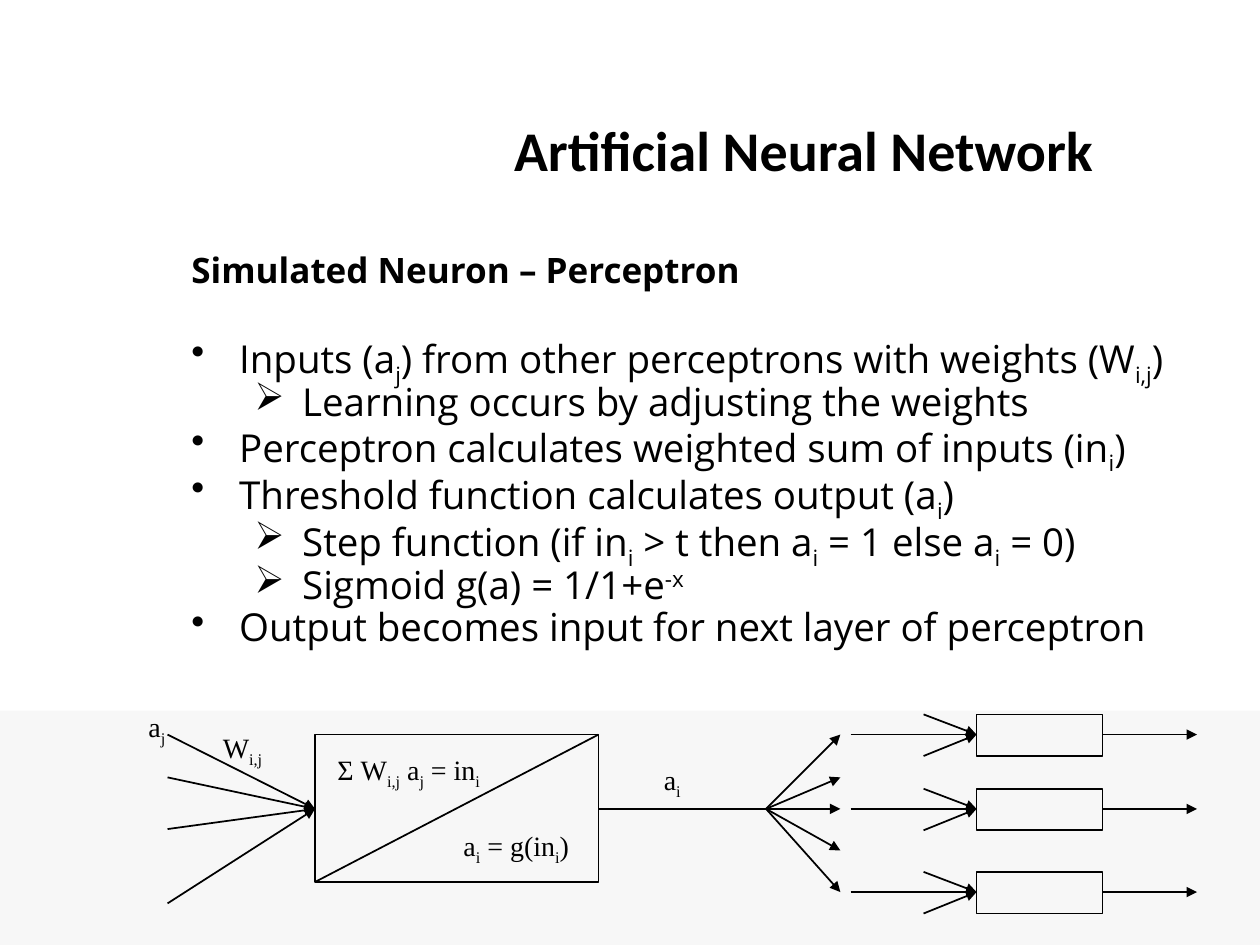
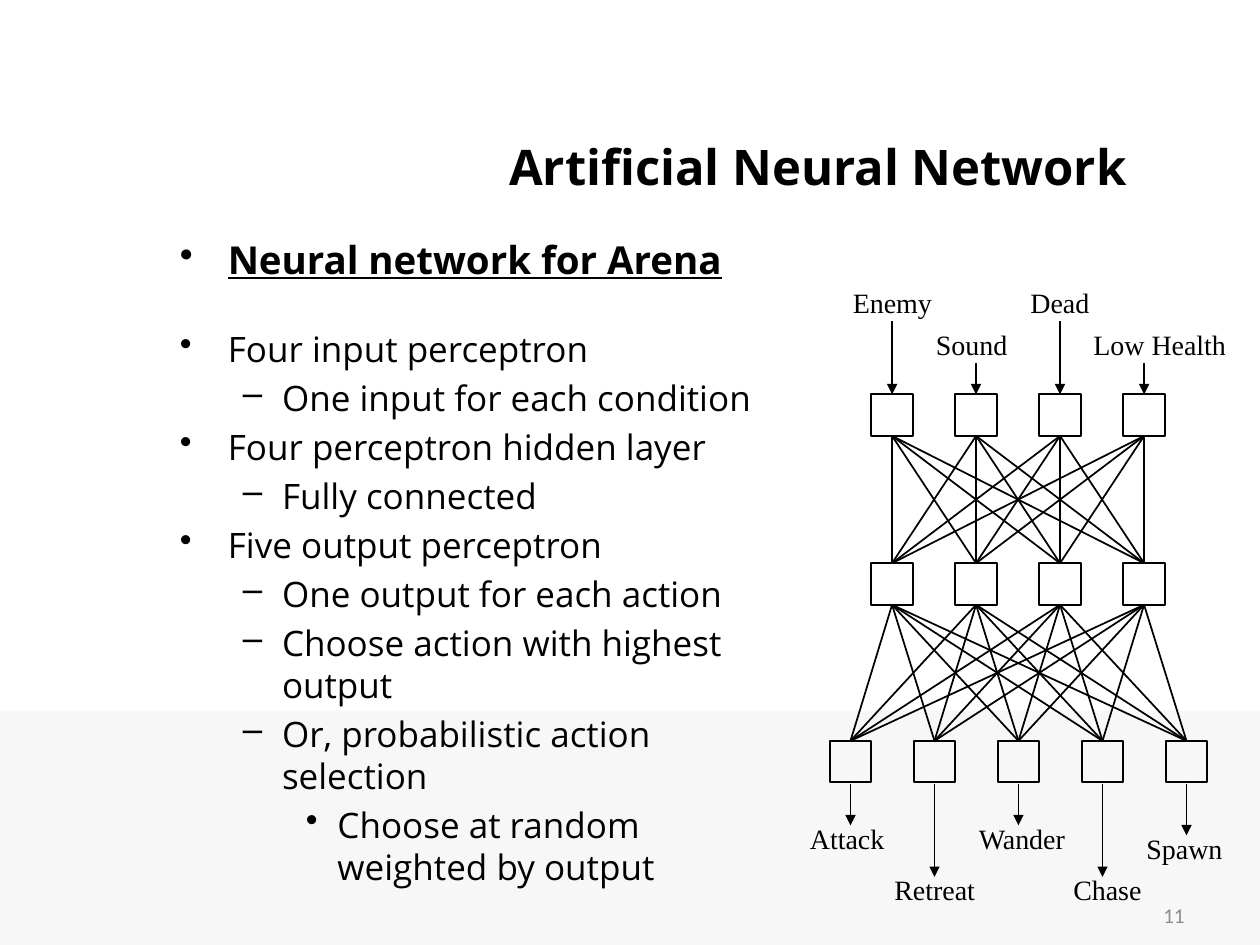
"""Build two slides on neural networks; text between tildes is lowered, or raised after a caret."""
import itertools

import pptx
import pptx.dml.color
import pptx.enum.shapes
import pptx.enum.text
import pptx.oxml.ns
import pptx.util
from lxml import etree

Inches = pptx.util.Inches
Pt = pptx.util.Pt
RGBColor = pptx.dml.color.RGBColor
ALIGN = pptx.enum.text.PP_ALIGN
ANCHOR = pptx.enum.text.MSO_ANCHOR

BLACK = RGBColor(0, 0, 0)
GRAY = RGBColor(0x8C, 0x8C, 0x8C)
PALE = RGBColor(0xF7, 0xF7, 0xF7)
SANS = "Open Sans"
SERIF = "Times New Roman"
PLAIN = "Calibri"
TITLE = "Artificial Neural Network"


def sub(parent, tag, **attrs):
    return etree.SubElement(parent, pptx.oxml.ns.qn(tag), **attrs)


class Deck:
    def __init__(self):
        self.pres = pptx.Presentation()
        self.pres.slide_width = Inches(10)
        self.pres.slide_height = Inches(7.5)
        self.slide = None

    def start(self, box, font, size):
        self.slide = self.pres.slides.add_slide(self.pres.slide_layouts[5])
        self.rect(0, 5.64, 10, 1.86, PALE)
        title = self.slide.shapes.title
        title.left, title.top, title.width, title.height = map(Inches, box)
        frame = title.text_frame
        frame.vertical_anchor = ANCHOR.MIDDLE
        self.style(frame.paragraphs[0], TITLE, font, size, bold=True)
        frame.paragraphs[0].alignment = ALIGN.CENTER

    def style(self, para, text, font, size, bold=False, color=BLACK):
        for i, part in enumerate(text.split("~")):
            if not part:
                continue
            run = para.add_run()
            run.text = part.lstrip("^") if i % 2 else part
            run.font.name = font
            run.font.size = Pt(size)
            run.font.bold = bold
            run.font.color.rgb = color
            if i % 2:
                shift = "30000" if part.startswith("^") else "-25000"
                run.font._element.set("baseline", shift)

    def frame(self, x, y, w, h, anchor=ANCHOR.TOP):
        box = self.slide.shapes.add_textbox(*map(Inches, (x, y, w, h)))
        box.text_frame.word_wrap = True
        box.text_frame.vertical_anchor = anchor
        return box.text_frame

    def label(self, text, x, y, w):
        self.style(self.frame(x, y, w, 0.37).paragraphs[0], text, SERIF, 16)

    def number(self, text):
        para = self.frame(7.17, 7.06, 2.33, 0.4, ANCHOR.MIDDLE).paragraphs[0]
        self.style(para, text, PLAIN, 12, color=GRAY)
        para.alignment = ALIGN.RIGHT

    def bullet(self, para, level, marks):
        mark, left, hang = marks[level]
        para.level = level
        props = para._p.get_or_add_pPr()
        props.set("marL", str(Inches(left)))
        props.set("indent", str(-Inches(hang)))
        sub(props, "a:buChar", char=mark)

    def points(self, frame, items, marks, size, gap=0, bold=False):
        for i, (level, text) in enumerate(items):
            para = frame.paragraphs[0]
            if para.runs:
                para = frame.add_paragraph()
            self.bullet(para, level, marks)
            if i:
                para.space_before = Pt(gap)
            self.style(para, text, SANS, size, bold)

    def rect(self, x, y, w, h, fill=None):
        kind = pptx.enum.shapes.MSO_SHAPE.RECTANGLE
        shape = self.slide.shapes.add_shape(kind, *map(Inches, (x, y, w, h)))
        shape.shadow.inherit = False
        if fill is None:
            shape.fill.background()
            shape.line.color.rgb = BLACK
            shape.line.width = Pt(1)
        else:
            shape.fill.solid()
            shape.fill.fore_color.rgb = fill
            shape.line.fill.background()

    def line(self, x1, y1, x2, y2, arrow=True):
        kind = pptx.enum.shapes.MSO_CONNECTOR.STRAIGHT
        line = self.slide.shapes.add_connector(kind, *map(Inches, (x1, y1, x2, y2)))
        line.line.color.rgb = BLACK
        line.line.width = Pt(1)
        if arrow:
            sub(line.line._get_or_add_ln(), "a:tailEnd", type="triangle")
        sub(line._element.spPr, "a:effectLst")


def neuron(deck):
    deck.start((2.92, 0.86, 6.92, 0.64), PLAIN, 32)
    frame = deck.frame(1.42, 1.92, 8.08, 3.78)
    head = frame.paragraphs[0]
    deck.style(head, "Simulated Neuron – Perceptron", SANS, 20, bold=True)
    items = [
        (0, "Inputs (a~j~) from other perceptrons with weights (W~i,j~)"),
        (1, "Learning occurs by adjusting the weights"),
        (0, "Perceptron calculates weighted sum of inputs (in~i~)"),
        (0, "Threshold function calculates output (a~i~)"),
        (1, "Step function (if in~i~ > t then a~i~ = 1 else a~i~ = 0)"),
        (1, "Sigmoid g(a) = 1/1+e~^-x~"),
        (0, "Output becomes input for next layer of perceptron"),
    ]
    deck.points(frame, items, [("•", 0.38, 0.38), ("➢", 0.88, 0.38)], 22)
    for para in frame.paragraphs:
        para.alignment = ALIGN.JUSTIFY
    for para in frame.paragraphs[1:]:
        para.line_spacing = 0.9
    frame.paragraphs[1].space_before = Pt(26)

    mid = 6.42
    deck.rect(2.5, 5.83, 2.25, 1.17)
    deck.line(2.5, 7, 4.75, 5.83, arrow=False)
    deck.line(4.75, mid, 6.08, mid, arrow=False)
    for y in (5.83, 6.17, mid, 6.75, 7.08):
        deck.line(6.08, mid, 6.67, y)
    for y in (5.83, 6.17, 6.58, 7.17):
        deck.line(1.33, y, 2.5, mid)
    for y in (5.83, mid, 7.08):
        deck.rect(7.75, y - 0.16, 1, 0.33)
        deck.line(6.75, y, 7.75, y)
        deck.line(8.75, y, 9.5, y)
        for end in (y - 0.16, y + 0.17):
            deck.line(7.33, end, 7.75, y)
    for text, x, y, w in (
        ("a~j~", 1.08, 5.58, 0.42),
        ("W~i,j~", 1.67, 5.75, 0.58),
        ("a~i~", 5.17, 6, 0.42),
        ("Σ W~i,j~ a~j~ = in~i~", 2.58, 5.92, 1.42),
        ("a~i~ = g(in~i~)", 3.58, 6.53, 1.08),
    ):
        deck.label(text, x, y, w)


def network(deck):
    deck.start((3.42, 0.88, 6.14, 0.87), SANS, 28)
    deck.number("11")
    marks = [("•", 0.38, 0.38), ("–", 0.81, 0.31), ("•", 1.25, 0.25)]
    items = [
        (0, "Four input perceptron"),
        (1, "One input for each condition"),
        (0, "Four perceptron hidden layer"),
        (1, "Fully connected"),
        (0, "Five output perceptron"),
        (1, "One output for each action"),
        (1, "Choose action with highest output"),
        (1, "Or, probabilistic action selection"),
        (2, "Choose at random weighted by output"),
    ]
    deck.points(deck.frame(1.33, 2.55, 5.08, 4.53), items, marks, 20, gap=4)
    head = deck.frame(1.33, 1.78, 8.23, 0.55, ANCHOR.MIDDLE)
    deck.points(head, [(0, "Neural network for Arena")], marks, 22, bold=True)
    head.paragraphs[0].runs[0].font.underline = True

    side = 0.33
    inner = [7.08 + i * 2 / 3 for i in range(4)]
    outer = [6.75 + i * 2 / 3 for i in range(5)]
    layers = [(inner, 3.13), (inner, 4.47), (outer, 5.88)]
    for nodes, top in layers:
        for x in nodes:
            deck.rect(x - side / 2, top, side, side)
    for (above, y1), (below, y2) in zip(layers, layers[1:]):
        for x1, x2 in itertools.product(above, below):
            deck.line(x1, y1 + side, x2, y2, arrow=False)

    inputs = [("Enemy", 6.67, 2.22, 0.83), ("Sound", 7.33, 2.55, 0.83),
              ("Dead", 8.08, 2.22, 0.75), ("Low Health", 8.58, 2.55, 1.33)]
    for node, (text, x, y, w) in zip(inner, inputs):
        deck.label(text, x, y, w)
        deck.line(node, y + 0.33, node, 3.13)
    outputs = [("Attack", 6.33, 6.47, 0.83), ("Retreat", 7, 6.88, 0.92),
               ("Wander", 7.67, 6.47, 0.92), ("Chase", 8.42, 6.88, 0.92),
               ("Spawn", 9, 6.55, 0.92)]
    for node, (text, x, y, w) in zip(outer, outputs):
        deck.label(text, x, y, w)
        deck.line(node, 6.22, node, y + 0.08)


def main():
    deck = Deck()
    neuron(deck)
    network(deck)
    deck.pres.save("out.pptx")


if __name__ == "__main__":
    main()
